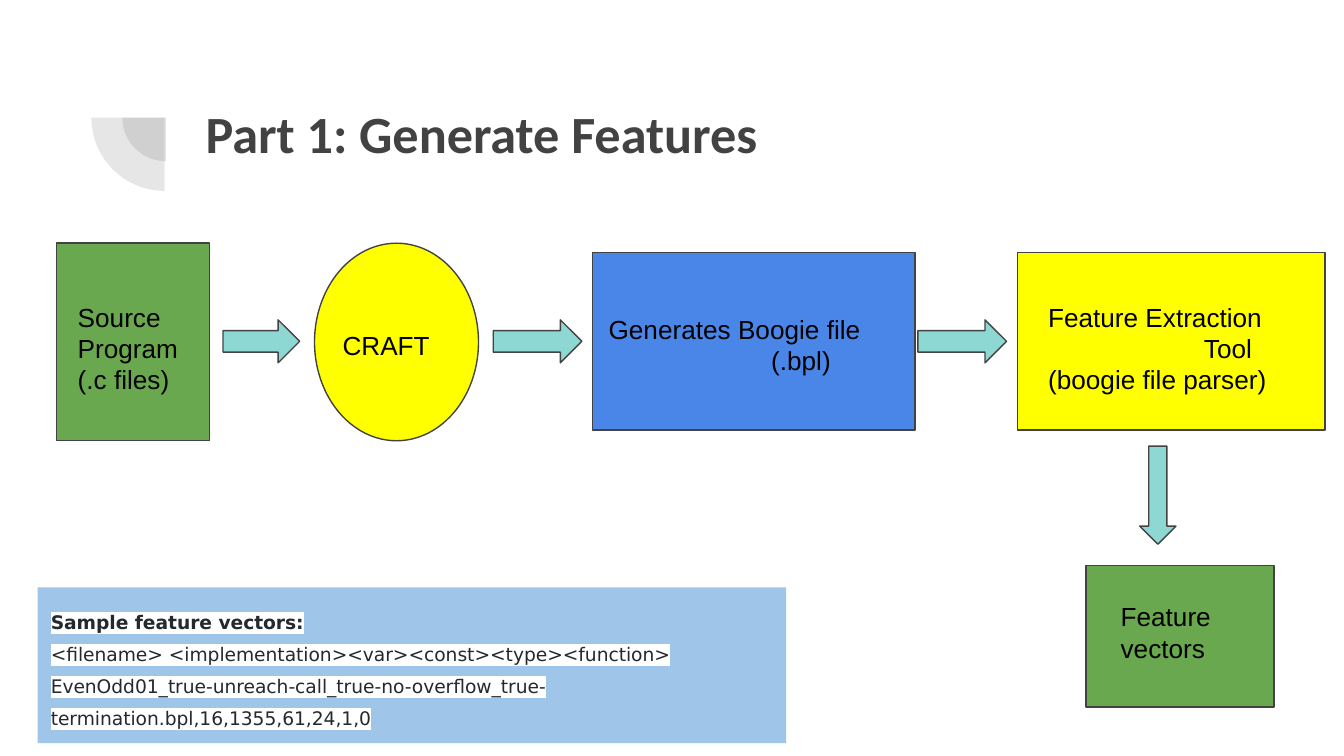
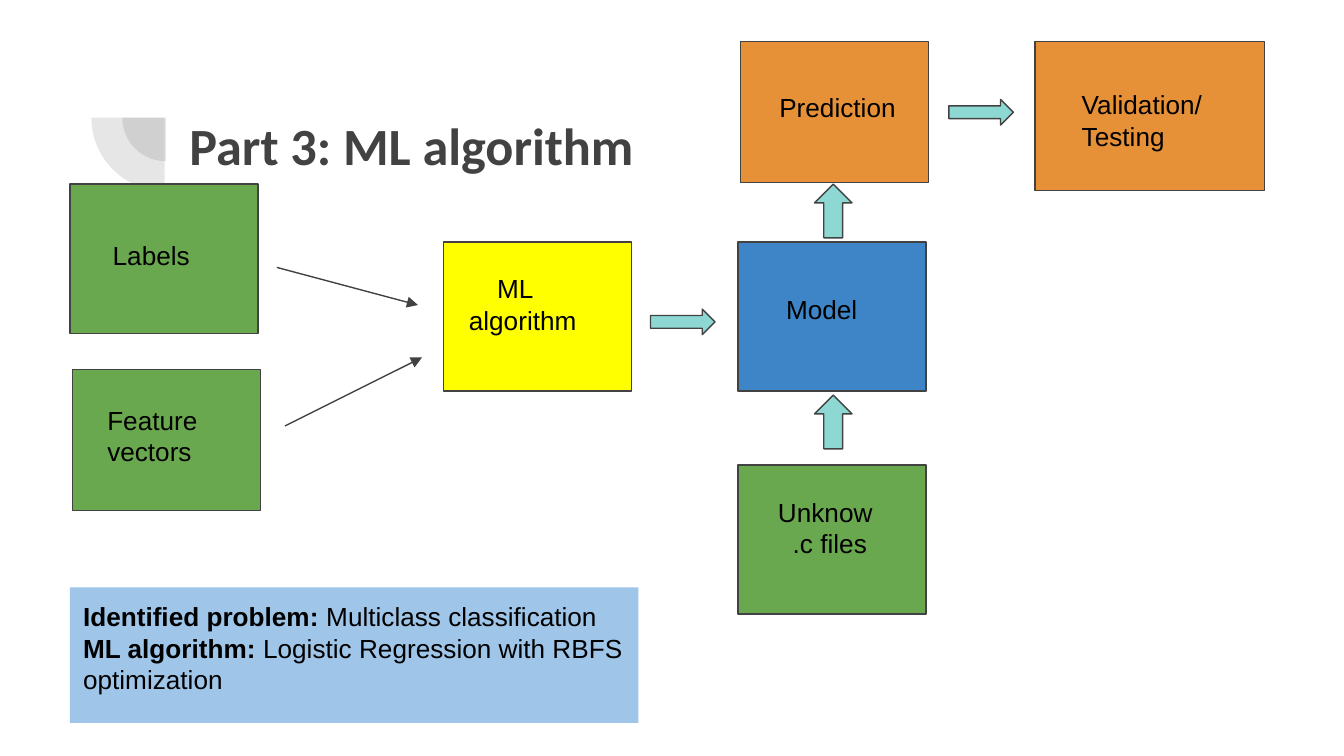
from lxml import etree
from pptx import Presentation
from pptx import util as u
from pptx.dml.color import RGBColor
from pptx.enum import shapes, text
from pptx.oxml import ns

Inches, Pt = u.Inches, u.Pt
KIND = shapes.MSO_SHAPE

CHARCOAL = RGBColor(0x42, 0x42, 0x42)
BLACK = RGBColor(0x00, 0x00, 0x00)
INK = RGBColor(0x24, 0x29, 0x2E)
GREEN = RGBColor(0x6A, 0xA8, 0x4F)
YELLOW = RGBColor(0xFF, 0xFF, 0x00)
BLUE = RGBColor(0x4A, 0x86, 0xE8)
DEEP_BLUE = RGBColor(0x3D, 0x85, 0xC6)
ORANGE = RGBColor(0xE6, 0x91, 0x38)
TEAL = RGBColor(0x8D, 0xD8, 0xD3)
PALE_BLUE = RGBColor(0x9F, 0xC5, 0xE8)


def add_block(page, kind, place, fill, outlined=True):
    """Draw a filled preset shape at (left, top, width, height)."""
    block = page.shapes.add_shape(kind, *map(Inches, place))
    block.shadow.inherit = False
    block.fill.solid()
    block.fill.fore_color.rgb = fill
    if outlined:
        block.line.color.rgb = CHARCOAL
        block.line.width = Pt(0.75)
    else:
        block.line.fill.background()
    return block


def write(box, paragraphs, font="Arial", size=14, color=BLACK):
    """Fill a box with (first-line indent, [(text, bold), ...]) paragraphs."""
    frame = box.text_frame
    frame.word_wrap = True
    frame.auto_size = text.MSO_AUTO_SIZE.NONE
    frame.vertical_anchor = text.MSO_ANCHOR.TOP
    frame.margin_left = frame.margin_right = Inches(0.1)
    frame.margin_top = frame.margin_bottom = Inches(0.1)
    for number, (indent, runs) in enumerate(paragraphs):
        para = frame.add_paragraph() if number else frame.paragraphs[0]
        para.alignment = text.PP_ALIGN.LEFT
        if indent:
            para._p.get_or_add_pPr().set("indent", str(Inches(indent)))
        for words, bold in runs:
            span = para.add_run()
            span.text = words
            span.font.name = font
            span.font.size = Pt(size)
            span.font.bold = bold
            span.font.color.rgb = color


# Widescreen deck, 16:9
deck = Presentation()
deck.slide_width, deck.slide_height = Inches(10), Inches(10 * 9 / 16)
layout = deck.slide_layouts[5]

# Slides and their titles
titles = [
    ("Part 1: Generate Features", (1.43, 0.65, 7.69, 1.09)),
    ("Part 3: ML algorithm", (1.31, 0.74, 9.32, 0.63)),
]
for words, place in titles:
    page = deck.slides.add_slide(layout)
    title = page.shapes.title
    title.left, title.top, title.width, title.height = map(Inches, place)
    write(title, [(0, [(words, True)])], "Calibri", 28, CHARCOAL)
features_page, algorithm_page = deck.slides

# Quarter-circle ornament, shared through the layout
for left, top, size in [(0.91, 0.55, 0.65), (0.68, 0.33, 1.09)]:
    quarter = add_block(features_page, KIND.PIE, (left, top, size, size), CHARCOAL, False)
    quarter.adjustments[0], quarter.adjustments[1] = 54, 108
    tint = quarter.element.spPr.find(ns.qn("a:solidFill"))[0]
    etree.SubElement(tint, ns.qn("a:alpha"), val="13000")
    layout.shapes.element.append(quarter.element)

# Flow blocks: page, shape, place, fill, label place, label lines with indent
flow_blocks = [
    (features_page, KIND.RECTANGLE, (0.42, 1.81, 1.14, 1.47), GREEN,
     (0.48, 2.14, 1.01, 0.82), [(0, "Source"), (0, "Program"), (0, "(.c files)")]),
    (features_page, KIND.OVAL, (2.34, 1.81, 1.22, 1.47), YELLOW,
     (2.45, 2.35, 1.01, 0.38), [(0, "CRAFT")]),
    (features_page, KIND.RECTANGLE, (4.41, 1.88, 2.4, 1.32), BLUE,
     (4.43, 2.23, 2.4, 0.82), [(0, "Generates Boogie file"), (1.21, "(.bpl)")]),
    (features_page, KIND.RECTANGLE, (7.57, 1.88, 2.29, 1.32), YELLOW,
     (7.7, 2.14, 1.95, 0.82),
     [(0, "Feature Extraction"), (1.16, "Tool"), (0, "(boogie file parser)")]),
    (features_page, KIND.RECTANGLE, (8.08, 4.21, 1.4, 1.05), GREEN,
     (8.24, 4.37, 1.07, 0.73), [(0, "Feature"), (0, "vectors")]),
    (algorithm_page, KIND.RECTANGLE, (0.54, 2.75, 1.4, 1.05), GREEN,
     (0.7, 2.91, 1.07, 0.73), [(0, "Feature"), (0, "vectors")]),
    (algorithm_page, KIND.RECTANGLE, (0.52, 1.37, 1.4, 1.11), GREEN,
     (0.74, 1.68, 1.01, 0.5), [(0, "Labels")]),
    (algorithm_page, KIND.RECTANGLE, (3.3, 1.8, 1.4, 1.11), YELLOW,
     (3.39, 1.93, 1.22, 0.84), [(0.21, "ML algorithm")]),
    (algorithm_page, KIND.RECTANGLE, (5.49, 1.8, 1.4, 1.11), DEEP_BLUE,
     (5.59, 2.08, 1.22, 0.48), [(0.16, "Model")]),
    (algorithm_page, KIND.RECTANGLE, (5.49, 3.46, 1.4, 1.11), GREEN,
     (5.53, 3.59, 1.31, 0.73), [(0.16, "Unknow"), (0.27, ".c files")]),
    (algorithm_page, KIND.RECTANGLE, (5.51, 0.31, 1.4, 1.05), ORANGE,
     (5.59, 0.58, 1.22, 0.48), [(0.11, "Prediction")]),
    (algorithm_page, KIND.RECTANGLE, (7.7, 0.31, 1.71, 1.11), ORANGE,
     (7.95, 0.56, 1.22, 0.54), [(0, "Validation/ Testing")]),
]
for page, kind, place, fill, label_place, lines in flow_blocks:
    add_block(page, kind, place, fill)
    label = page.shapes.add_textbox(*map(Inches, label_place))
    write(label, [(indent, [(words, False)]) for indent, words in lines])

# Block arrows
block_arrows = [
    (features_page, KIND.RIGHT_ARROW, (1.66, 2.38, 0.57, 0.32)),
    (features_page, KIND.RIGHT_ARROW, (3.67, 2.38, 0.66, 0.32)),
    (features_page, KIND.RIGHT_ARROW, (6.83, 2.38, 0.66, 0.32)),
    (features_page, KIND.DOWN_ARROW, (8.48, 3.32, 0.27, 0.73)),
    (algorithm_page, KIND.RIGHT_ARROW, (4.84, 2.3, 0.48, 0.19)),
    (algorithm_page, KIND.RIGHT_ARROW, (7.06, 0.74, 0.48, 0.19)),
    (algorithm_page, KIND.UP_ARROW, (6.06, 1.37, 0.28, 0.4)),
    (algorithm_page, KIND.UP_ARROW, (6.06, 2.94, 0.28, 0.4)),
]
for page, kind, place in block_arrows:
    add_block(page, kind, place, TEAL)

# Thin arrows into the ML algorithm
for ends in [(2.12, 3.17, 3.14, 2.66), (2.06, 1.99, 3.11, 2.27)]:
    arrow = algorithm_page.shapes.add_connector(
        shapes.MSO_CONNECTOR.STRAIGHT, *map(Inches, ends))
    arrow.line.color.rgb = CHARCOAL
    arrow.line.width = Pt(0.75)
    properties = arrow.element.spPr
    etree.SubElement(properties.find(ns.qn("a:ln")), ns.qn("a:tailEnd"), type="triangle")
    etree.SubElement(properties, ns.qn("a:effectLst"))

# Sample vectors panel, with highlighted text
sample = add_block(features_page, KIND.RECTANGLE, (0.28, 4.37, 5.57, 1.16), PALE_BLUE, False)
write(sample, [
    (0, [("Sample feature vectors:", True)]),
    (0, [("<filename> <implementation><var><const><type><function>", False)]),
    (0, [("EvenOdd01_true-unreach-call_true-no-overflow_true-"
          "termination.bpl,16,1355,61,24,1,0", False)]),
], "DejaVu Sans", 10, INK)
for para in sample.text_frame.paragraphs:
    para.line_spacing = 1.43
    for span in para.runs:
        highlight = etree.Element(ns.qn("a:highlight"))
        etree.SubElement(highlight, ns.qn("a:srgbClr"), val="FFFFFF")
        span._r.rPr.find(ns.qn("a:solidFill")).addnext(highlight)

# Problem summary panel
summary = add_block(algorithm_page, KIND.RECTANGLE, (0.52, 4.37, 4.23, 1.01), PALE_BLUE, False)
write(summary, [
    (0, [("Identified problem:", True), (" Multiclass classification", False)]),
    (0, [("ML algorithm:", True), (" Logistic Regression with RBFS optimization", False)]),
])

deck.save("out.pptx")
